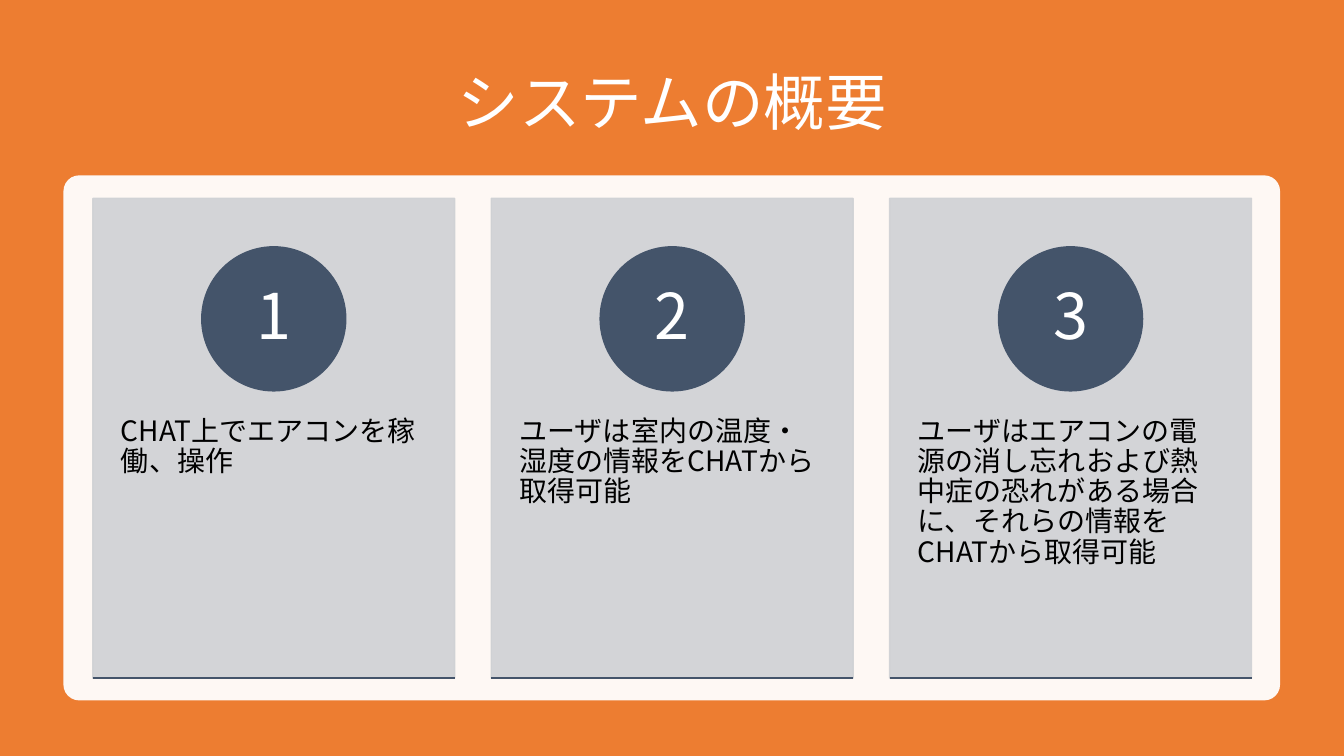
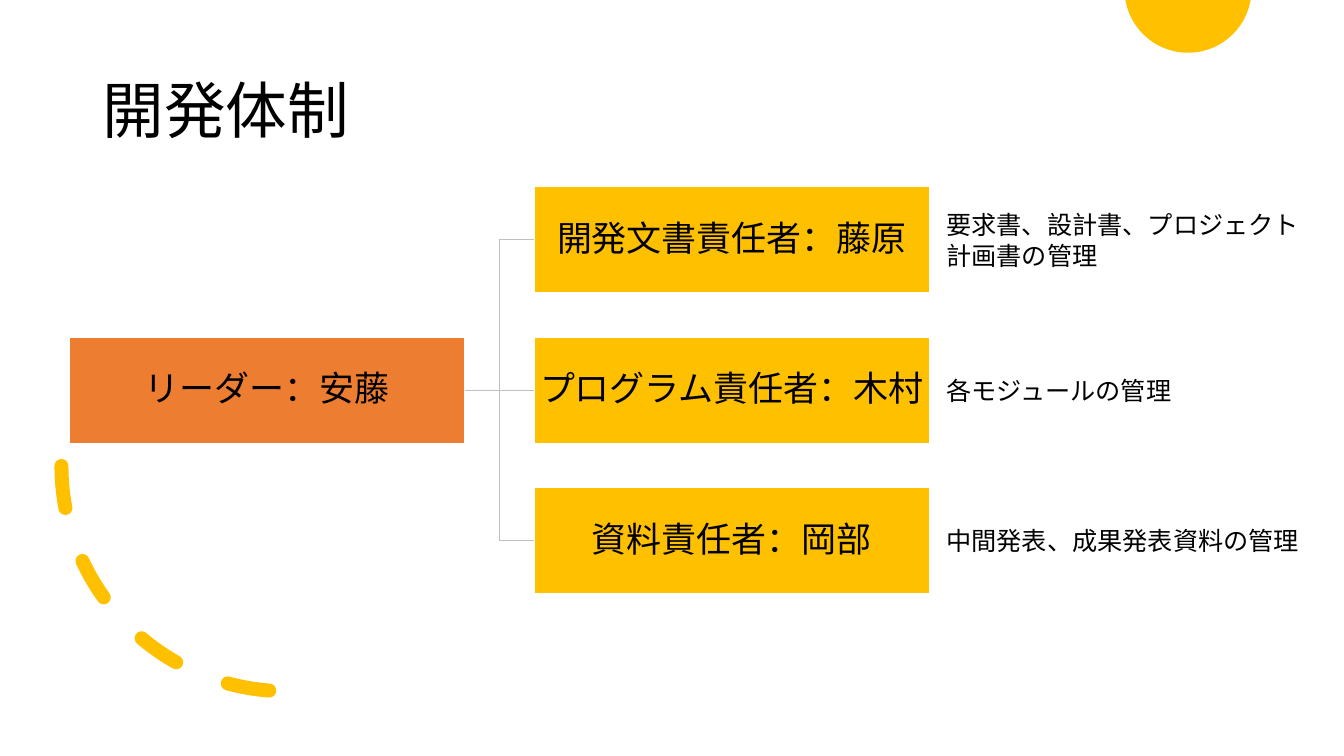
import math
from dataclasses import dataclass
from typing import Optional

import lxml.etree as etree
import pptx
import pptx.dml.color
import pptx.enum.dml
import pptx.enum.shapes
import pptx.enum.text
import pptx.oxml.ns
import pptx.shapes.autoshape
import pptx.slide
import pptx.util

Cm = pptx.util.Cm
Pt = pptx.util.Pt
qn = pptx.oxml.ns.qn
Shape = pptx.shapes.autoshape.Shape
Slide = pptx.slide.Slide
MSO_SHAPE = pptx.enum.shapes.MSO_SHAPE
MSO_CONNECTOR = pptx.enum.shapes.MSO_CONNECTOR
PP_ALIGN = pptx.enum.text.PP_ALIGN
MSO_ANCHOR = pptx.enum.text.MSO_ANCHOR


@dataclass(frozen=True)
class Theme:
    font: str = "Noto Sans CJK JP"
    orange: str = "ED7D31"
    yellow: str = "FFC000"
    navy: str = "44546A"
    card: str = "CFD1D4"
    connector: str = "BFBFBF"
    white: str = "FFFFFF"
    black: str = "000000"
    title_size: float = 44
    number_size: float = 45
    role_size: float = 25
    card_size: float = 20
    note_size: float = 18


@dataclass(frozen=True)
class Box:
    """A rectangle in centimetres."""
    left: float
    top: float
    width: float
    height: float

    def lengths(self) -> tuple:
        return Cm(self.left), Cm(self.top), Cm(self.width), Cm(self.height)


@dataclass(frozen=True)
class TextStyle:
    size: float
    color: str
    align: PP_ALIGN = PP_ALIGN.LEFT
    anchor: MSO_ANCHOR = MSO_ANCHOR.MIDDLE
    spacing: float = 0.9
    insets: tuple = (0.25, 0.13, 0.25, 0.13)  # left, top, right, bottom in cm


@dataclass(frozen=True)
class Role:
    label: str
    duty: str


THEME = Theme()
TIGHT = (0.05, 0.05, 0.05, 0.05)
CARD_STYLE = TextStyle(THEME.card_size, THEME.black, anchor=MSO_ANCHOR.TOP,
                       insets=(0.71, 5.51, 0.71, 0.91))
NUMBER_STYLE = TextStyle(THEME.number_size, THEME.white, PP_ALIGN.CENTER, insets=TIGHT)
ROLE_STYLE = TextStyle(THEME.role_size, THEME.black, PP_ALIGN.CENTER, insets=TIGHT)
NOTE_STYLE = TextStyle(THEME.note_size, THEME.black, spacing=1.0)

FEATURES = (
    "CHAT上でエアコンを稼働、操作",
    "ユーザは室内の温度・湿度の情報をCHATから取得可能",
    "ユーザはエアコンの電源の消し忘れおよび熱中症の恐れがある場合に、"
    "それらの情報をCHATから取得可能",
)
LEADER = "リーダー：安藤"
ROLES = (
    Role("開発文書責任者：藤原", "要求書、設計書、プロジェクト計画書の管理"),
    Role("プログラム責任者：木村", "各モジュールの管理"),
    Role("資料責任者：岡部", "中間発表、成果発表資料の管理"),
)


def rgb(color: str) -> pptx.dml.color.RGBColor:
    return pptx.dml.color.RGBColor.from_string(color)


def write(sp: Shape, text: str, style: TextStyle) -> None:
    tf = sp.text_frame
    tf.word_wrap = True
    tf.vertical_anchor = style.anchor
    tf.margin_left, tf.margin_top, tf.margin_right, tf.margin_bottom = map(Cm, style.insets)
    p = tf.paragraphs[0]
    p.text = text
    p.alignment = style.align
    p.line_spacing = style.spacing
    p.font.size = Pt(style.size)
    p.font.color.rgb = rgb(style.color)
    p.font.name = THEME.font
    for props in sp.element.iter(qn("a:defRPr")):
        etree.SubElement(props, qn("a:ea")).set("typeface", THEME.font)


def add_text(slide: Slide, box: Box, text: str, style: TextStyle) -> None:
    write(slide.shapes.add_textbox(*box.lengths()), text, style)


def paint(sp: Shape, fill: Optional[str], line: Optional[str] = None,
          width: float = 1, opacity: Optional[int] = None) -> None:
    """Set fill, line and opacity (percent); None means no fill or no line."""
    sp.shadow.inherit = False
    if fill:
        sp.fill.solid()
        sp.fill.fore_color.rgb = rgb(fill)
    else:
        sp.fill.background()
    if line:
        sp.line.color.rgb = rgb(line)
        sp.line.width = Pt(width)
    else:
        sp.line.fill.background()
    if opacity is not None:
        for color in sp.element.spPr.iter(qn("a:srgbClr")):
            etree.SubElement(color, qn("a:alpha")).set("val", str(opacity * 1000))


def add_shape(slide: Slide, kind: MSO_SHAPE, box: Box, fill: Optional[str],
              line: Optional[str] = None, width: float = 1,
              opacity: Optional[int] = None) -> Shape:
    sp = slide.shapes.add_shape(kind, *box.lengths())
    paint(sp, fill, line, width, opacity)
    return sp


def add_line(slide: Slide, kind: MSO_CONNECTOR, start: tuple, end: tuple,
             color: str, width: float) -> pptx.shapes.connector.Connector:
    line = slide.shapes.add_connector(kind, *map(Cm, start + end))
    line.line.color.rgb = rgb(color)
    line.line.width = Pt(width)
    etree.SubElement(line.element.spPr, qn("a:effectLst"))
    return line


def add_slide(prs: pptx.presentation.Presentation, background: str, title: str,
              title_box: Box, title_color: str, align: PP_ALIGN) -> Slide:
    slide = prs.slides.add_slide(prs.slide_layouts[6])
    slide.background.fill.solid()
    slide.background.fill.fore_color.rgb = rgb(background)
    add_text(slide, title_box, title, TextStyle(THEME.title_size, title_color, align))
    return slide


def add_card(slide: Slide, box: Box, number: int, text: str) -> None:
    card = add_shape(slide, MSO_SHAPE.RECTANGLE, box, THEME.card, THEME.card, opacity=90)
    write(card, text, CARD_STYLE)
    diameter = 3.63
    circle_box = Box(box.left + (box.width - diameter) / 2, box.top + 1.22,
                     diameter, diameter)
    circle = add_shape(slide, MSO_SHAPE.OVAL, circle_box, THEME.navy, THEME.navy)
    write(circle, str(number), NUMBER_STYLE)
    bottom = box.top + box.height
    add_line(slide, MSO_CONNECTOR.STRAIGHT, (box.left, bottom),
             (box.left + box.width, bottom), THEME.navy, 1.5)


def add_half_disc(slide: Slide) -> None:
    """Draw the part of a disc that hangs below the slide's top edge."""
    cx, cy, radius, steps = 29.94, -0.27, 1.6, 60
    first = math.asin(-cy / radius)
    angles = (first + (math.pi - 2 * first) * i / steps for i in range(steps + 1))
    points = [(Cm(cx + radius * math.cos(a)), Cm(max(0, cy + radius * math.sin(a))))
              for a in angles]
    builder = slide.shapes.build_freeform(*points[0])
    builder.add_line_segments(points[1:], close=True)
    paint(builder.convert_to_shape(), THEME.yellow)


def add_dashed_arc(slide: Slide) -> None:
    arc = add_shape(slide, MSO_SHAPE.ARC, Box(1.55, 6.07, 11.35, 11.35),
                    None, THEME.yellow, 10)
    arc.rotation = 90
    arc.line.dash_style = pptx.enum.dml.MSO_LINE.DASH
    arc.element.spPr.find(qn("a:xfrm")).set("flipV", "1")
    arc.element.spPr.find(qn("a:ln")).set("cap", "rnd")


def add_role(slide: Slide, box: Box, label: str, fill: str) -> Shape:
    sp = add_shape(slide, MSO_SHAPE.RECTANGLE, box, fill, THEME.white)
    write(sp, label, ROLE_STYLE)
    return sp


def build_overview(prs: pptx.presentation.Presentation) -> None:
    slide = add_slide(prs, THEME.orange, "システムの概要", Box(2.34, 1.27, 29.21, 2.79),
                      THEME.white, PP_ALIGN.CENTER)
    panel = add_shape(slide, MSO_SHAPE.ROUNDED_RECTANGLE, Box(1.6, 4.42, 30.66, 13.23),
                      THEME.white, opacity=95)
    panel.adjustments[0] = 0.03
    left, width, pitch = 2.34, 9.12, 10.04
    for i, text in enumerate(FEATURES):
        add_card(slide, Box(left + i * pitch, 5, width, 12.09), i + 1, text)


def build_team(prs: pptx.presentation.Presentation) -> None:
    slide = add_slide(prs, THEME.white, "開発体制", Box(2.34, 1.02, 29.21, 3.68),
                      THEME.black, PP_ALIGN.LEFT)
    add_half_disc(slide)
    add_dashed_arc(slide)
    width, height, pitch = 9.96, 2.69, 3.79
    role_left, role_top = 13.46, 4.7
    leader_row = len(ROLES) // 2
    leader = add_role(slide, Box(1.75, role_top + leader_row * pitch, width, height),
                      LEADER, THEME.orange)
    for i, role in enumerate(ROLES):
        top = role_top + i * pitch
        sp = add_role(slide, Box(role_left, top, width, height), role.label, THEME.yellow)
        kind = MSO_CONNECTOR.STRAIGHT if i == leader_row else MSO_CONNECTOR.ELBOW
        link = add_line(slide, kind, (0, 0), (1, 1), THEME.connector, 0.75)
        link.begin_connect(leader, 3)
        link.end_connect(sp, 1)
        add_text(slide, Box(23.6, top, 9.53, height), role.duty, NOTE_STYLE)


def main() -> None:
    prs = pptx.Presentation()
    prs.slide_width, prs.slide_height = Cm(33.87), Cm(19.05)
    build_overview(prs)
    build_team(prs)
    prs.save("out.pptx")


if __name__ == "__main__":
    main()
